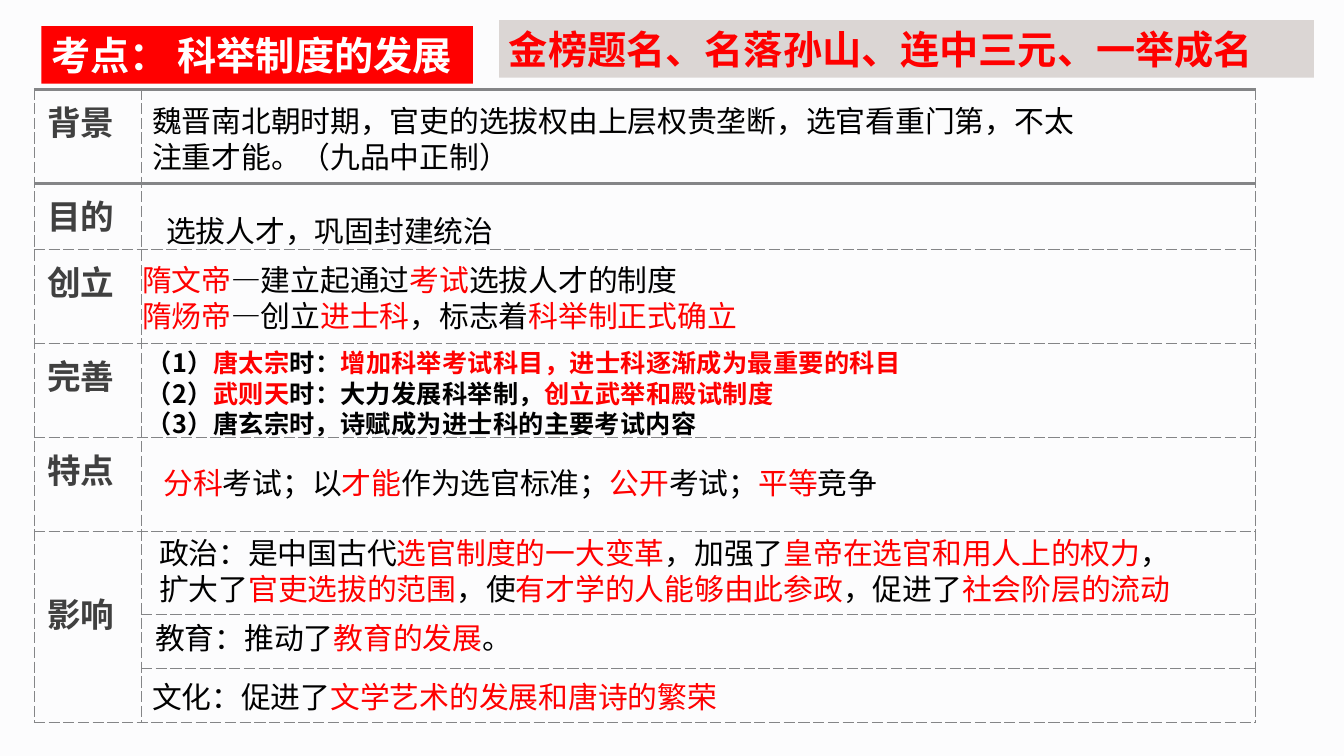
from dataclasses import dataclass

from lxml import etree
from pptx import Presentation
from pptx.dml.color import RGBColor
from pptx.enum.shapes import MSO_SHAPE
from pptx.enum.text import MSO_ANCHOR, MSO_AUTO_SIZE, PP_ALIGN
from pptx.oxml.ns import qn
from pptx.util import Emu, Inches, Pt

RECTANGLE = MSO_SHAPE.RECTANGLE
TOP = MSO_ANCHOR.TOP
GROW = MSO_AUTO_SIZE.SHAPE_TO_FIT_TEXT
LEFT, JUSTIFY = PP_ALIGN.LEFT, PP_ALIGN.JUSTIFY

PAPER = RGBColor(0xFC, 0xFC, 0xFD)
WHITE = RGBColor(0xFF, 0xFF, 0xFF)
BLACK = RGBColor(0x00, 0x00, 0x00)
RED = RGBColor(0xFF, 0x00, 0x00)
STONE = RGBColor(0xDB, 0xD6, 0xD4)
LABEL_GREY = RGBColor(0x40, 0x40, 0x40)
BORDER_GREY = RGBColor(0x84, 0x85, 0x87)

FONT = "Noto Sans CJK SC"
RED_MARK = "*"  # encloses the red words of a line
CELL_OPACITY = "16000"

# The slide is a grid of 100 columns by 100 rows
WIDTH, HEIGHT = Inches(13.33), Inches(7.5)


def columns(count: float) -> Emu:
    return Emu(round(WIDTH * count / 100))


def rows(count: float) -> Emu:
    return Emu(round(HEIGHT * count / 100))


@dataclass
class Area:
    left: float
    top: float
    width: float
    height: float

    def lengths(self) -> tuple:
        return columns(self.left), rows(self.top), columns(self.width), rows(self.height)


@dataclass
class Note:
    area: Area
    lines: list
    size: float = 21.3
    bold: bool = False
    wrap: bool = False
    line_spacing: float | None = None
    tracking: int | None = None
    inset: tuple = (0.1, 0.05)


@dataclass
class Banner:
    area: Area
    text: str
    fill: RGBColor
    color: RGBColor
    align: PP_ALIGN


@dataclass
class TableRow:
    height: float
    label: str = ""


# Content
BANNERS = [
    Banner(Area(3.08, 3.47, 32.11, 7.6), "考点： 科举制度的发展", RED, WHITE, LEFT),
    Banner(Area(37.13, 2.67, 60.62, 7.6), "金榜题名、名落孙山、连中三元、一举成名",
           STONE, RED, JUSTIFY),
]
TABLE_LEFT, TABLE_TOP = 2.55, 11.87
TABLE_COLUMNS = [7.97, 82.9]
TABLE_ROWS = [
    TableRow(12.44, "背景"), TableRow(8.75, "目的"), TableRow(12.44, "创立"),
    TableRow(12.44, "完善"), TableRow(12.44, "特点"), TableRow(10.96, "影响"),
    TableRow(7.14), TableRow(7.14),
]
IMPACT_ROW = 5
IMPACT_TOP_MARGIN = 7.47
NOTES = [
    Note(Area(10.58, 12.93, 72.17, 10.93),
         ["魏晋南北朝时期，官吏的选拔权由上层权贵垄断，选官看重门第，不太注重才能。（九品中正制）"],
         wrap=True),
    Note(Area(11.63, 25.07, 26.26, 8.53), ["选拔人才，巩固封建统治"], line_spacing=1.5),
    Note(Area(9.83, 34, 46.51, 10.93),
         ["*隋文帝*—建立起通过*考试*选拔人才的制度",
          "*隋炀帝*—创立*进士科*，标志着*科举制正式确立*"]),
    Note(Area(10.2, 45.33, 68.94, 13.47),
         ["（1）*唐太宗*时：*增加科举考试科目，进士科逐渐成为最重要的科目*",
          "（2）*武则天*时：大力发展科举制，*创立武举和殿试制度*",
          "（3）唐玄宗时，诗赋成为进士科的主要考试内容"],
         size=18, bold=True, wrap=True, tracking=20),
    Note(Area(11.63, 60.53, 54.99, 6.53),
         ["*分科*考试；以*才能*作为选官标准；*公开*考试；*平等*竞争"], inset=(0.07, 0.07)),
    Note(Area(11.1, 70.13, 78.77, 10.93),
         ["政治：是中国古代*选官制度的一大变革*，加强了*皇帝在选官和用人上的权力*，"
          "扩大了*官吏选拔的范围*，使*有才学的人能够由此参政*，促进了*社会阶层的流动*"],
         wrap=True),
    Note(Area(10.8, 81.33, 28.51, 6.13), ["教育：推动了*教育的发展*。"]),
    Note(Area(10.58, 89.07, 44.26, 6.13), ["文化：促进了*文学艺术的发展和唐诗的繁荣*"]),
]


def style_span(span, size: float, color: RGBColor, bold: bool) -> None:
    span.font.size = Pt(size)
    span.font.bold = bold
    span.font.color.rgb = color
    span.font.name = FONT
    properties = span.font._element
    etree.SubElement(properties, qn("a:ea")).set("typeface", FONT)


def add_banner(page, banner: Banner) -> None:
    box = page.shapes.add_shape(RECTANGLE, *banner.area.lengths())
    box.shadow.inherit = False
    box.fill.solid()
    box.fill.fore_color.rgb = banner.fill
    box.line.fill.background()
    frame = box.text_frame
    frame.text = banner.text
    frame.word_wrap = True
    frame.auto_size = GROW
    frame.vertical_anchor = TOP
    para = frame.paragraphs[0]
    para.alignment = banner.align
    style_span(para.runs[0], 28, banner.color, True)


def add_note(page, note: Note) -> None:
    frame = page.shapes.add_textbox(*note.area.lengths()).text_frame
    frame.word_wrap = note.wrap
    frame.auto_size = GROW
    frame.margin_left = frame.margin_right = Inches(note.inset[0])
    frame.margin_top = frame.margin_bottom = Inches(note.inset[1])
    for index, line in enumerate(note.lines):
        para = frame.add_paragraph() if index else frame.paragraphs[0]
        if note.line_spacing:
            para.line_spacing = note.line_spacing
        for part, words in enumerate(line.split(RED_MARK)):
            if not words:
                continue
            span = para.add_run()
            span.text = words
            style_span(span, note.size, RED if part % 2 else BLACK, note.bold)
            if note.tracking:
                span.font._element.set("spc", str(note.tracking))


def style_cell(cell, row: int) -> None:
    cell.fill.solid()
    cell.fill.fore_color.rgb = WHITE
    properties = cell._tc.get_or_add_tcPr()
    white = properties.find(".//" + qn("a:srgbClr"))
    etree.SubElement(white, qn("a:alpha")).set("val", CELL_OPACITY)
    # The first row has heavy solid rules above and below
    heavy = {"T": row <= 1, "B": row == 0}
    for index, side in enumerate("LRTB"):
        solid = heavy.get(side, False)
        border = etree.Element(qn("a:ln" + side), w=str(Pt(2.25 if solid else 0.75)))
        ink = etree.SubElement(border, qn("a:solidFill"))
        etree.SubElement(ink, qn("a:srgbClr")).set("val", str(BORDER_GREY))
        etree.SubElement(border, qn("a:prstDash")).set("val", "solid" if solid else "sysDash")
        properties.insert(index, border)


def add_outline_table(page) -> None:
    area = Area(TABLE_LEFT, TABLE_TOP, sum(TABLE_COLUMNS), sum(row.height for row in TABLE_ROWS))
    table = page.shapes.add_table(len(TABLE_ROWS), len(TABLE_COLUMNS), *area.lengths()).table
    table.first_row = table.horz_banding = False
    for column, width in zip(table.columns, TABLE_COLUMNS):
        column.width = columns(width)
    for index, row in enumerate(TABLE_ROWS):
        table.rows[index].height = rows(row.height)
        for cell in table.rows[index].cells:
            style_cell(cell, index)
        if row.label:
            cell = table.cell(index, 0)
            cell.margin_left = cell.margin_right = Inches(0.13)
            cell.margin_top = cell.margin_bottom = Inches(0.07)
            cell.text_frame.text = row.label
            style_span(cell.text_frame.paragraphs[0].runs[0], 24, LABEL_GREY, True)
    impact = table.cell(IMPACT_ROW, 0)
    impact.merge(table.cell(len(TABLE_ROWS) - 1, 0))
    impact.margin_top = rows(IMPACT_TOP_MARGIN)


def main() -> None:
    deck = Presentation()
    deck.slide_width, deck.slide_height = WIDTH, HEIGHT
    page = deck.slides.add_slide(deck.slide_layouts[6])
    page.background.fill.solid()
    page.background.fill.fore_color.rgb = PAPER
    add_outline_table(page)
    for note in NOTES:
        add_note(page, note)
    for banner in BANNERS:
        add_banner(page, banner)
    deck.save("out.pptx")


if __name__ == "__main__":
    main()
